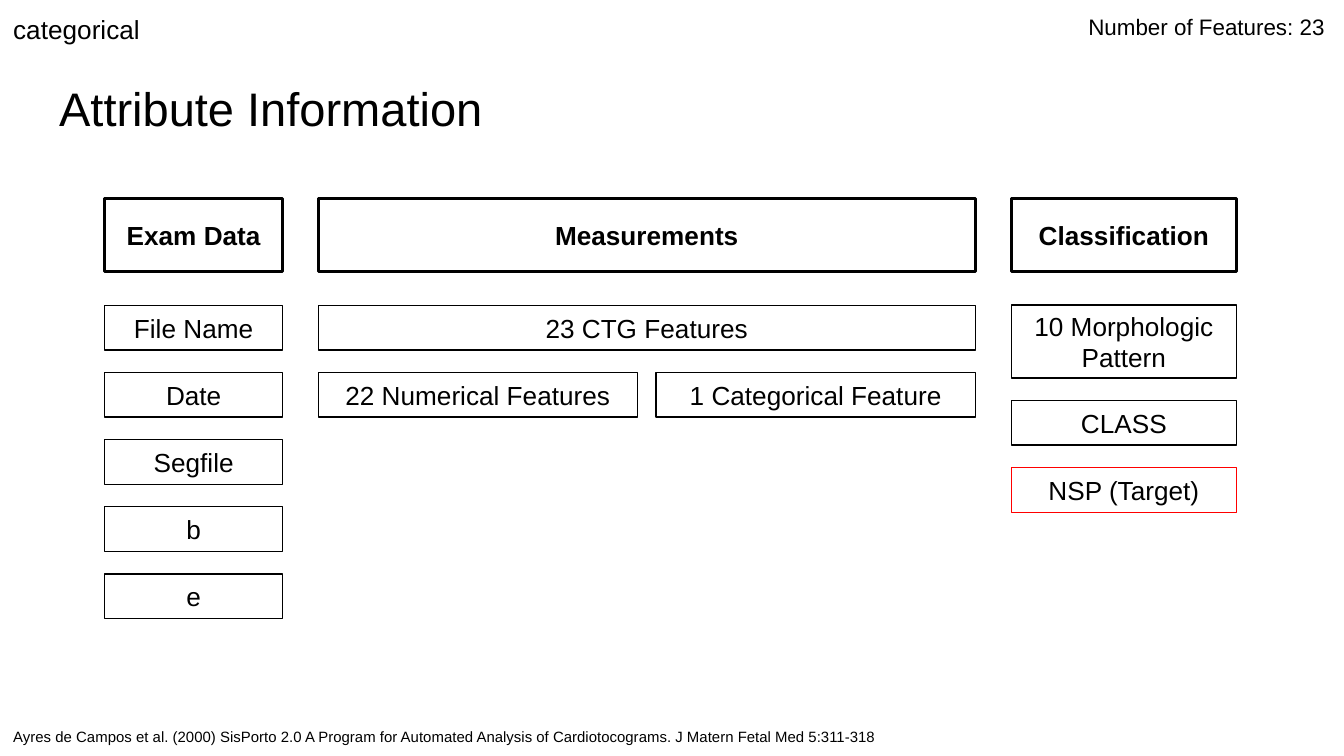
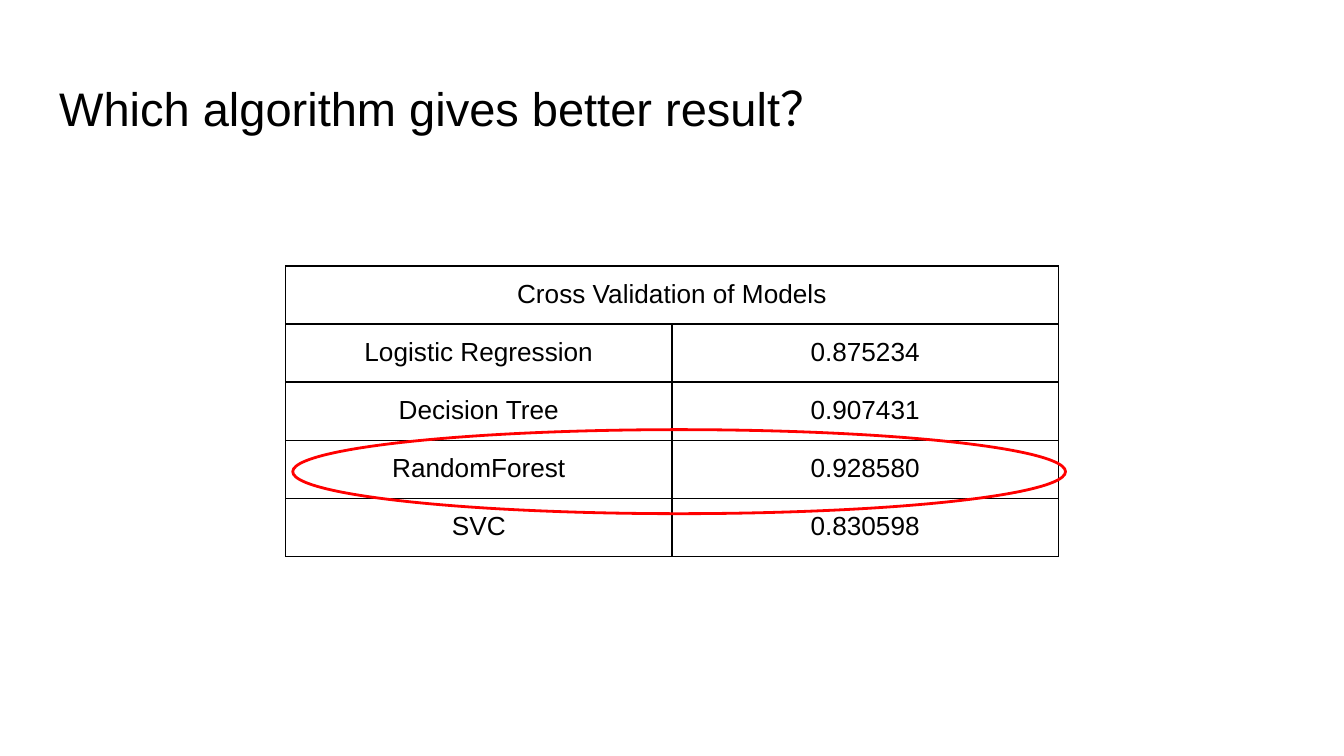
from dataclasses import dataclass

from lxml import etree
from pptx import Presentation
from pptx import util as u
from pptx.dml.color import RGBColor
from pptx.enum import shapes, text
from pptx.oxml import ns


@dataclass(frozen=True)
class Theme:
    font: str = "Arial"
    ink: str = "000000"
    accent: str = "FF0000"
    title: float = 25.2
    body: float = 14
    note: float = 12
    source: float = 8
    thin: float = 0.75
    thick: float = 1.5
    inset: float = 7.2


class Page:
    """Holds the style and the current slide."""

    def __init__(self, deck, theme):
        self.deck, self.theme, self.slide = deck, theme, None

    def new(self, title):
        self.slide = self.deck.slides.add_slide(self.deck.slide_layouts[5])
        box = self.slide.shapes.title
        title_place = {"left": 24.5, "top": 35.5, "width": 671, "height": 45}
        for name, value in title_place.items():
            setattr(box, name, u.Pt(value))
        self.fill_frame(box.text_frame, title, self.theme.title)

    def fill_frame(self, frame, words, size, bold=False,
                   align=text.PP_ALIGN.LEFT, anchor=text.MSO_ANCHOR.TOP):
        inset = u.Pt(self.theme.inset)
        frame_format = {
            "word_wrap": True, "auto_size": text.MSO_AUTO_SIZE.NONE,
            "vertical_anchor": anchor, "margin_left": inset,
            "margin_right": inset, "margin_top": inset, "margin_bottom": inset,
        }
        for name, value in frame_format.items():
            setattr(frame, name, value)
        self.fill_para(frame.paragraphs[0], words, size, bold, align)

    def fill_para(self, para, words, size, bold, align):
        para.alignment = align
        span = para.add_run()
        span.text = words
        font_format = {"name": self.theme.font, "size": u.Pt(size), "bold": bold}
        for name, value in font_format.items():
            setattr(span.font, name, value)
        span.font.color.rgb = RGBColor.from_string(self.theme.ink)

    def label(self, words, place, size):
        box = self.slide.shapes.add_textbox(*map(u.Pt, place))
        self.fill_frame(box.text_frame, words, size)

    def outline(self, kind, place, color, weight):
        box = self.slide.shapes.add_shape(kind, *map(u.Pt, place))
        box.shadow.inherit = False
        box.fill.background()
        box.line.color.rgb = RGBColor.from_string(color)
        box.line.width = u.Pt(weight)
        return box

    def box(self, words, place, color=None, weight=None, bold=False):
        box = self.outline(shapes.MSO_SHAPE.RECTANGLE, place,
                           color or self.theme.ink, weight or self.theme.thin)
        self.fill_frame(box.text_frame, words, self.theme.body, bold,
                        text.PP_ALIGN.CENTER, text.MSO_ANCHOR.MIDDLE)

    def table(self, heading, rows, place):
        left, top, width, row_height = place
        count = len(rows) + 1
        table = self.slide.shapes.add_table(
            count, 2, *map(u.Pt, (left, top, width, row_height * count))).table
        table.first_row = table.horz_banding = False
        for row in table.rows:
            row.height = u.Pt(row_height)
        for cell in table.iter_cells():
            self.style_cell(cell)
        table.cell(0, 0).merge(table.cell(0, 1))
        self.fill_cell(table.cell(0, 0), heading)
        for r, row in enumerate(rows, 1):
            for c, words in enumerate(row):
                self.fill_cell(table.cell(r, c), words)

    def fill_cell(self, cell, words):
        self.fill_para(cell.text_frame.paragraphs[0], words,
                       self.theme.body, False, text.PP_ALIGN.CENTER)

    def style_cell(self, cell):
        for side in ("left", "right", "top", "bottom"):
            setattr(cell, f"margin_{side}", u.Pt(self.theme.inset))
        # Cell borders come before the fill
        props = cell._tc.get_or_add_tcPr()
        for edge in "LRTB":
            line = etree.SubElement(props, ns.qn(f"a:ln{edge}"),
                                    w=str(u.Pt(self.theme.thin)))
            fill = etree.SubElement(line, ns.qn("a:solidFill"))
            etree.SubElement(fill, ns.qn("a:srgbClr"), val=self.theme.ink)
        cell.fill.background()


def attribute_page(page):
    theme = page.theme
    page.new("Attribute Information")

    header_top, header_height = 106.5, 39
    list_top, box_height, gap = 163.5, 24, 12
    step = box_height + gap
    exam, measures, classes = (56, 95.5), (170.5, 352), (541.8, 120.6)

    # Column headers
    for words, (left, width) in (("Exam Data", exam), ("Measurements", measures),
                                 ("Classification", classes)):
        page.box(words, (left, header_top, width, header_height),
                 weight=theme.thick, bold=True)

    # Exam data and classification lists
    columns = (
        (exam, [(words, box_height, theme.ink)
                for words in ("File Name", "Date", "Segfile", "b", "e")]),
        (classes, [("10 Morphologic Pattern", header_height, theme.ink),
                   ("CLASS", box_height, theme.ink),
                   ("NSP (Target)", box_height, theme.accent)]),
    )
    for (left, width), items in columns:
        top = list_top
        for words, height, color in items:
            page.box(words, (left, top, width, height), color)
            top += height + gap

    # Measurements, split into two kinds
    left, width = measures
    page.box("23 CTG Features", (left, list_top, width, box_height))
    half = 171
    for words, x in (("22 Numerical Features", left),
                     ("1 Categorical Feature", left + width - half)):
        page.box(words, (x, list_top + step, half, box_height))

    # Corner notes and citation
    page.label("Number of Features: 23", (576, 0, 144, 29), theme.note)
    page.label("Ayres de Campos et al. (2000) SisPorto 2.0 A Program for Automated "
               "Analysis of Cardiotocograms. J Matern Fetal Med 5:311-318",
               (0, 382.5, 720, 24), theme.source)
    page.label("categorical", (0, 0, 236, 32), theme.body)


def algorithm_page(page):
    page.new("Which algorithm gives better result？")
    scores = (("Logistic Regression", "0.875234"), ("Decision Tree", "0.907431"),
              ("RandomForest", "0.928580"), ("SVC", "0.830598"))
    page.table("Cross Validation of Models", scores, (153, 142.5, 414, 31.1))
    # Ring around the best score
    page.outline(shapes.MSO_SHAPE.OVAL, (156.8, 230.2, 414, 45),
                 page.theme.accent, page.theme.thick)


def main():
    deck = Presentation()
    deck.slide_width, deck.slide_height = u.Pt(720), u.Pt(405)
    page = Page(deck, Theme())
    attribute_page(page)
    algorithm_page(page)
    deck.save("out.pptx")


if __name__ == "__main__":
    main()
